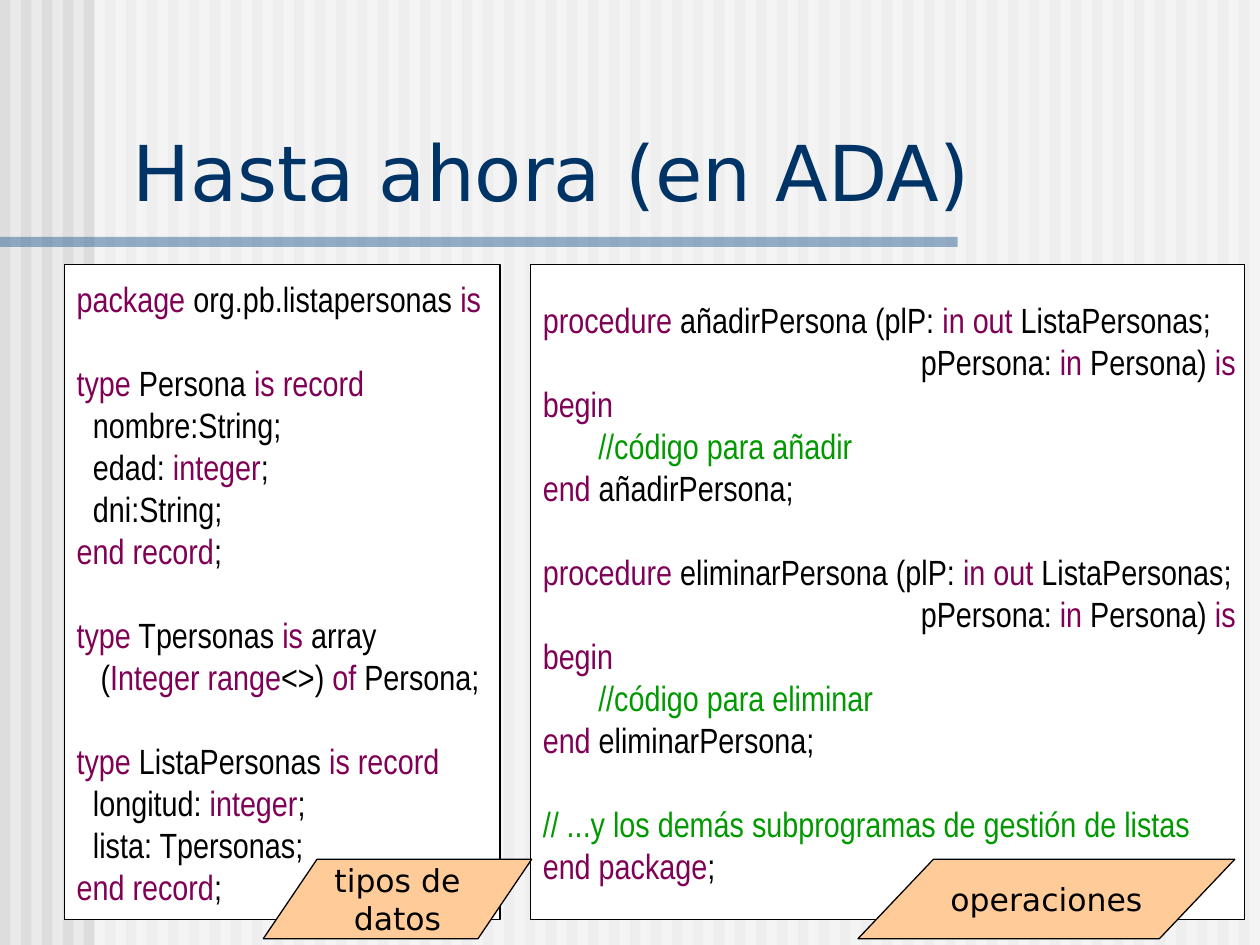
import pptx
import pptx.util
import pptx.dml.color
import pptx.enum.shapes
import pptx.enum.text
import pptx.oxml
from dataclasses import dataclass

Inches = pptx.util.Inches
SHAPE = pptx.enum.shapes.MSO_SHAPE
ANCHOR = pptx.enum.text.MSO_ANCHOR
ALIGN = pptx.enum.text.PP_ALIGN


@dataclass(frozen=True)
class Theme:
    background: str = "EAEAEA"
    stripe: str = "DDDDDD"
    white: str = "FFFFFF"
    rule: str = "336699"
    title: str = "003366"
    text: str = "000000"
    keyword: str = "7F0055"
    comment: str = "009900"
    label: str = "FFCC99"
    font: str = "DejaVu Sans"
    code_font: str = "Arial Narrow"
    title_size: int = 44
    code_size: int = 20
    code_line: int = 24
    label_size: int = 18


theme = Theme()


def color(value):
    return pptx.dml.color.RGBColor.from_string(value)


def add_block(kind, left, top, width, height, fill, opacity=100, outlined=False):
    """Add a flat shape, with an optional thin outline and opacity in percent."""
    shape = slide.shapes.add_shape(
        kind, Inches(left), Inches(top), Inches(width), Inches(height))
    shape.shadow.inherit = False
    shape.fill.solid()
    shape.fill.fore_color.rgb = color(fill)
    if opacity < 100:
        fill_color = shape.element.spPr.find(".//" + pptx.oxml.ns.qn("a:srgbClr"))
        alpha = pptx.oxml.parse_xml(
            f'<a:alpha {pptx.oxml.ns.nsdecls("a")} val="{opacity * 1000}"/>')
        fill_color.append(alpha)
    if outlined:
        shape.line.color.rgb = color(theme.text)
        shape.line.width = pptx.util.Pt(0.75)
    else:
        shape.line.fill.background()
    return shape


presentation = pptx.Presentation()
presentation.slide_width = Inches(10)
presentation.slide_height = Inches(7.5)
slide = presentation.slides.add_slide(presentation.slide_layouts[5])
slide.background.fill.solid()
slide.background.fill.fore_color.rgb = color(theme.background)

# Striped backdrop, softened by a translucent veil, and the rule under the title
for index in range(60):
    add_block(SHAPE.RECTANGLE, index / 6, 0, 1 / 12, 7.5, theme.stripe)
add_block(SHAPE.RECTANGLE, 0.75, 0, 9.25, 7.5, theme.white, opacity=50)
add_block(SHAPE.RECTANGLE, 0, 1.88, 7.6, 0.08, theme.rule, opacity=50)

title = slide.shapes.title
title.element.getparent().append(title.element)  # in front of the backdrop
title.left, title.top = Inches(0.95), Inches(0.94)
title.width, title.height = Inches(8.93), Inches(0.83)
title.text_frame.text = "Hasta ahora (en ADA)"
title.text_frame.vertical_anchor = ANCHOR.BOTTOM
title.text_frame.auto_size = pptx.enum.text.MSO_AUTO_SIZE.NONE
heading = title.text_frame.paragraphs[0]
heading.alignment = ALIGN.LEFT
heading.font.name = theme.font
heading.font.size = pptx.util.Pt(theme.title_size)
heading.font.color.rgb = color(theme.title)

# Code groups are one line apart; each line is (indent, text), keywords between asterisks
type_groups = [
    [(0, "*package* org.pb.listapersonas *is*")],
    [(0, "*type* Persona *is record*"),
     (0.13, "nombre:String;"),
     (0.13, "edad: *integer*;"),
     (0.13, "dni:String;"),
     (0, "*end record*;")],
    [(0, "*type* Tpersonas *is* array"),
     (0.19, "(*Integer range*<>) *of* Persona;")],
    [(0, "*type* ListaPersonas *is record*"),
     (0.13, "longitud: *integer*;"),
     (0.13, "lista: Tpersonas;"),
     (0, "*end record*;")],
]
operation_groups = [
    [(0, f"*procedure* {verb}Persona (plP: *in out* ListaPersonas;"),
     (3, "pPersona: *in* Persona) *is*"),
     (0, "*begin*"),
     (0.44, f"//código para {verb}"),
     (0, f"*end* {verb}Persona;")]
    for verb in ("añadir", "eliminar")
] + [
    [(0, "// ...y los demás subprogramas de gestión de listas"),
     (0, "*end package*;")],
]

for left, width, groups in ((0.51, 3.46, type_groups), (4.21, 5.67, operation_groups)):
    panel = add_block(SHAPE.RECTANGLE, left, 2.1, width, 5.2, theme.white, outlined=True)
    frame = panel.text_frame
    frame.word_wrap = True
    frame.margin_right = 0
    frame.vertical_anchor = ANCHOR.MIDDLE
    paragraph = None
    for group_index, group in enumerate(groups):
        for line_index, (indent, line) in enumerate(group):
            paragraph = frame.add_paragraph() if paragraph else frame.paragraphs[0]
            paragraph.alignment = ALIGN.LEFT
            paragraph.font.name = theme.code_font
            paragraph.font.size = pptx.util.Pt(theme.code_size)
            if indent:
                properties = paragraph._p.get_or_add_pPr()
                properties.set("marL", str(Inches(indent)))
                properties.set("indent", "0")
            if group_index and line_index == 0:
                paragraph.space_before = pptx.util.Pt(theme.code_line)
            plain = theme.comment if line.startswith("//") else theme.text
            for part_index, part in enumerate(line.split("*")):
                if part:
                    run = paragraph.add_run()
                    run.text = part
                    run.font.color.rgb = color(theme.keyword if part_index % 2 else plain)

for left, width, caption in ((2.09, 2.13, "tipos de datos"), (6.81, 2.99, "operaciones")):
    label = add_block(SHAPE.FLOWCHART_DATA, left, 6.82, width, 0.63, theme.label, outlined=True)
    label.text_frame.word_wrap = True
    label.text_frame.vertical_anchor = ANCHOR.MIDDLE
    paragraph = label.text_frame.paragraphs[0]
    paragraph.text = caption
    paragraph.alignment = ALIGN.CENTER
    paragraph.font.name = theme.font
    paragraph.font.size = pptx.util.Pt(theme.label_size)
    paragraph.font.color.rgb = color(theme.text)

presentation.save("out.pptx")
